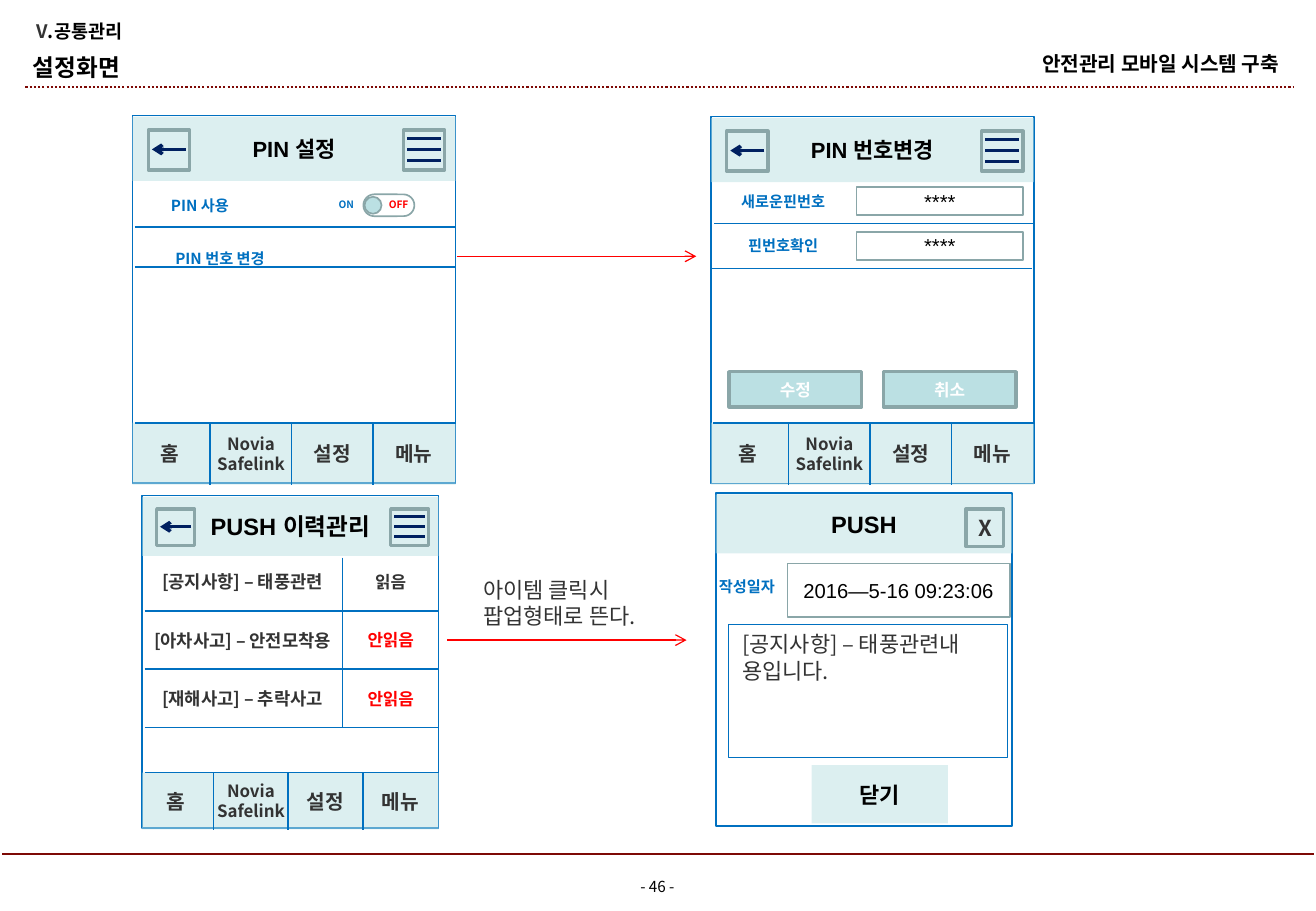
from lxml import etree
from pptx import Presentation
from pptx import util as u
from pptx.dml.color import RGBColor
from pptx.enum import dml, shapes, text
from pptx.oxml.ns import qn

KOREAN, LATIN = "Noto Sans CJK KR", "Arial"
BLUE, NAVY, RED, MAROON = "0070C0", "002060", "FF0000", "7D0905"
TEAL, GREY, DARK, BLACK, WHITE = "BBE0E3", "8AA6A8", "333333", "000000", "FFFFFF"
LEFT, CENTER, RIGHT = text.PP_ALIGN.LEFT, text.PP_ALIGN.CENTER, text.PP_ALIGN.RIGHT
KINDS = shapes.MSO_SHAPE


def paint(color_format, color):
    """Give a colour format a hex colour."""
    color_format.rgb = RGBColor.from_string(color)


def inches(*lengths):
    """Turn numbers into lengths."""
    return [u.Inches(length) for length in lengths]


def write(item, paragraphs, size, color=BLACK, bold=True, font=KOREAN,
          align=CENTER, inset=0):
    """Fill a shape; each paragraph is a list of (text, colour or None) runs."""
    frame = item.text_frame
    frame.word_wrap = True
    frame.auto_size = text.MSO_AUTO_SIZE.NONE
    frame.vertical_anchor = text.MSO_ANCHOR.MIDDLE
    frame.margin_left = frame.margin_right = u.Inches(inset)
    frame.margin_top = frame.margin_bottom = 0
    for index, runs in enumerate(paragraphs):
        para = frame.add_paragraph() if index else frame.paragraphs[0]
        para.alignment = align
        for words, own_color in runs:
            span = para.add_run()
            span.text = words
            span.font.size, span.font.bold, span.font.name = u.Pt(size), bold, font
            paint(span.font.color, own_color or color)
            east = etree.SubElement(span.font._element, qn("a:ea"))
            east.set("typeface", KOREAN)


def label(page, box, words, size, **style):
    """Add a text box holding one paragraph per line of words."""
    item = page.shapes.add_textbox(*inches(*box))
    write(item, [[(line, None)] for line in words.split("\n")], size, **style)


def panel(page, box, fill=None, line=None, width=1.0, alpha=None,
          kind=KINDS.RECTANGLE, words=None, size=12, **style):
    """Add a preset shape, with text if given."""
    item = page.shapes.add_shape(kind, *inches(*box))
    item.shadow.inherit = False
    if fill:
        item.fill.solid()
        paint(item.fill.fore_color, fill)
        if alpha:
            tint = item.fill._xPr.find(qn("a:solidFill"))[0]
            etree.SubElement(tint, qn("a:alpha")).set("val", str(alpha * 1000))
    else:
        item.fill.background()
    if line:
        paint(item.line.color, line)
        item.line.width = u.Pt(width)
    else:
        item.line.fill.background()
    if words:
        write(item, [[(words, None)]], size, **style)
    return item


def rule(page, x1, y1, x2, y2, color=BLUE, width=1.0, arrow=False, dash=None):
    """Add a straight line, with an arrowhead at its end if wanted."""
    item = page.shapes.add_connector(shapes.MSO_CONNECTOR.STRAIGHT,
                                     *inches(x1, y1, x2, y2))
    paint(item.line.color, color)
    item.line.width = u.Pt(width)
    if dash:
        item.line.dash_style = dash
    if arrow:
        etree.SubElement(item.line._get_or_add_ln(), qn("a:tailEnd")).set("type", "arrow")
    etree.SubElement(item._element.spPr, qn("a:effectLst"))


def page_frame(page, box):
    """Place headings, rules and page number."""
    x, y, w, h = box
    title = page.shapes.title
    title.left, title.top, title.width, title.height = inches(x + 0.27, y + 0.43, 4.4, 0.24)
    write(title, [[("설정화면", None)]], 14, align=LEFT)
    chapter = page.shapes.add_textbox(*inches(x + 0.3, y + 0.15, 3.55, 0.21))
    write(chapter, [[("V", DARK), (".공통관리", None)]], 11, align=LEFT)
    label(page, (x + w - 3.6, y + 0.4, 3.3, 0.24), "안전관리 모바일 시스템 구축", 12, align=RIGHT)
    rule(page, x + 0.21, y + 0.72, x + w - 0.19, y + 0.72, MAROON, 1.25,
         dash=dml.MSO_LINE.ROUND_DOT)
    rule(page, x + 0.02, y + h - 0.47, x + w - 0.02, y + h - 0.47, MAROON, 0.75)
    label(page, (x + w / 2 - 0.34, y + h - 0.33, 0.67, 0.25), "- 46 -", 9, bold=False)


def window(page, box, heading, size):
    """Draw a screen outline and its heading bar; return its scale."""
    x, y, w, h = box
    scale = w / 2.66
    panel(page, box, line=BLUE)
    panel(page, (x, y + 0.01, w, 0.53 * scale), TEAL, alpha=50, words=heading,
          size=size, font=LATIN)
    return scale


def phone(page, box, heading, size):
    """Draw a screen with back and menu buttons and a bottom bar."""
    x, y, w, h = box
    scale = window(page, box, heading, size)
    for left in (0.13, 2.23):
        panel(page, (x + left * scale, y + 0.12 * scale, 0.34 * scale, 0.33 * scale),
              line=GREY, width=2)
    middle = y + 0.28 * scale
    rule(page, x + 0.44 * scale, middle, x + 0.16 * scale, middle, NAVY, 2, arrow=True)
    for step in (-1, 0, 1):
        level = middle + step * 0.09 * scale
        rule(page, x + 2.26 * scale, level, x + 2.54 * scale, level, NAVY, 2)

    bar, top = 0.51 * scale, y + h - 0.5 * scale
    panel(page, (x, top, w, bar), TEAL, alpha=50)
    rule(page, x + 0.02, top, x + w, top)
    tabs = [("홈", 12), ("Novia\nSafelink", 10), ("설정", 12), ("메뉴", 12)]
    for index, (words, points) in enumerate(tabs):
        left = x + (0.64 + 0.67 * (index - 1)) * scale
        label(page, (left, top, 0.67 * scale, bar), words, points, color=DARK)
        if index:
            rule(page, left, top, left, top + bar)


def pin_settings(page, box):
    """Draw the PIN settings screen."""
    x, y, w, h = box
    phone(page, box, "PIN 설정", 13)
    for level in (0.92, 1.25):
        rule(page, x + 0.02, y + level, x + w, y + level)
    label(page, (x, y + 0.61, 1.11, 0.27), "PIN 사용", 9, color=BLUE)
    label(page, (x + 0.03, y + 1.05, 1.38, 0.25), "PIN 번호 변경", 9, color=BLUE)
    switch = panel(page, (x + 1.9, y + 0.65, 0.42, 0.18), line=GREY,
                   kind=KINDS.ROUNDED_RECTANGLE)
    switch.adjustments[0] = 0.5
    panel(page, (x + 1.91, y + 0.67, 0.14, 0.14), TEAL, GREY, kind=KINDS.OVAL)
    for left, words, color in ((1.6, "ON", BLUE), (2.03, "OFF", RED)):
        label(page, (x + left, y + 0.63, 0.32, 0.21), words, 6, color=color)


def pin_change(page, box):
    """Draw the PIN change screen."""
    x, y, w, h = box
    phone(page, box, "PIN 번호변경", 13)
    for level, shift in ((0.88, 0.03), (1.25, 0)):
        rule(page, x + shift, y + level, x + w - 0.02 + shift, y + level)
    for top, words in ((0.58, "새로운핀번호"), (0.95, "핀번호확인")):
        label(page, (x + 0.07, y + top, 1.05, 0.23), words, 9, color=BLUE)
        panel(page, (x + 1.2, y + top, 1.37, 0.23), WHITE, GREY, words="****",
              bold=False, font=LATIN)
    for left, words in ((0.15, "수정"), (1.42, "취소")):
        panel(page, (x + left, y + 2.1, 1.09, 0.29), TEAL, GREY, 2, words=words,
              size=10, color=WHITE, font=LATIN)


def push_history(page, box):
    """Draw the list of push messages."""
    x, y, w, h = box
    phone(page, box, "PUSH 이력관리", 14)
    rows = [("[공지사항] – 태풍관련", "읽음", DARK),
            ("[아차사고] – 안전모착용", "안읽음", RED),
            ("[재해사고] – 추락사고", "안읽음", RED)]
    pitch, split, top = 0.48, 1.65, y + 0.47
    for index, (subject, state, color) in enumerate(rows):
        level = top + index * pitch
        label(page, (x, level, split, pitch), subject, 10.5, color=DARK)
        label(page, (x + split, level, w - split, pitch), state, 10, color=color)
        rule(page, x + 0.02, level + pitch, x + w, level + pitch)
    rule(page, x + split, y + 0.51, x + split, top + len(rows) * pitch)


def push_popup(page, box):
    """Draw the popup with one push message."""
    x, y, w, h = box
    window(page, box, "PUSH", 14)
    panel(page, (x + 2.06, y + 0.13, 0.31, 0.31), line=GREY, width=2, words="X",
          size=13, color=DARK)
    label(page, (x - 0.27, y + 0.64, 1.05, 0.25), "작성일자", 9, color=BLUE)
    panel(page, (x + 0.59, y + 0.58, 1.83, 0.44), WHITE, GREY,
          words="2016—5-16 09:23:06", bold=False, font=LATIN)
    panel(page, (x + 0.1, y + 1.08, 2.3, 1.09), line=BLUE, width=0.25)
    label(page, (x + 0.12, y + 1.08, 2.24, 0.54), "[공지사항] – 태풍관련내 용입니다.", 13,
          color=DARK, bold=False, align=LEFT, inset=0.1)
    panel(page, (x + 0.79, y + 2.24, 1.12, 0.48), TEAL, alpha=50, words="닫기",
          size=13, font=LATIN)


def flow(page, box, note=None):
    """Draw an arrow between screens along the bottom of its box, with a note above."""
    x, y, w, h = box
    rule(page, x, y + h, x + w, y + h, RED, 0.75, arrow=True)
    if note:
        label(page, (x + 0.2, y, 1.61, h - 0.04), note, 13, color=DARK, bold=False,
              align=LEFT, inset=0.1)


deck = Presentation()
deck.slide_width, deck.slide_height = inches(10.83, 7.5)
page = deck.slides.add_slide(deck.slide_layouts[5])
page_frame(page, (0, 0, 10.83, 7.5))
pin_settings(page, (1.09, 0.95, 2.66, 3.03))
pin_change(page, (5.85, 0.96, 2.66, 3.02))
push_history(page, (1.17, 4.08, 2.44, 2.74))
push_popup(page, (5.89, 4.06, 2.44, 2.74))
flow(page, (3.76, 1.53, 1.97, 0.58))
flow(page, (3.68, 4.69, 1.97, 0.58), "아이템 클릭시 팝업형태로 뜬다.")
deck.save("out.pptx")
